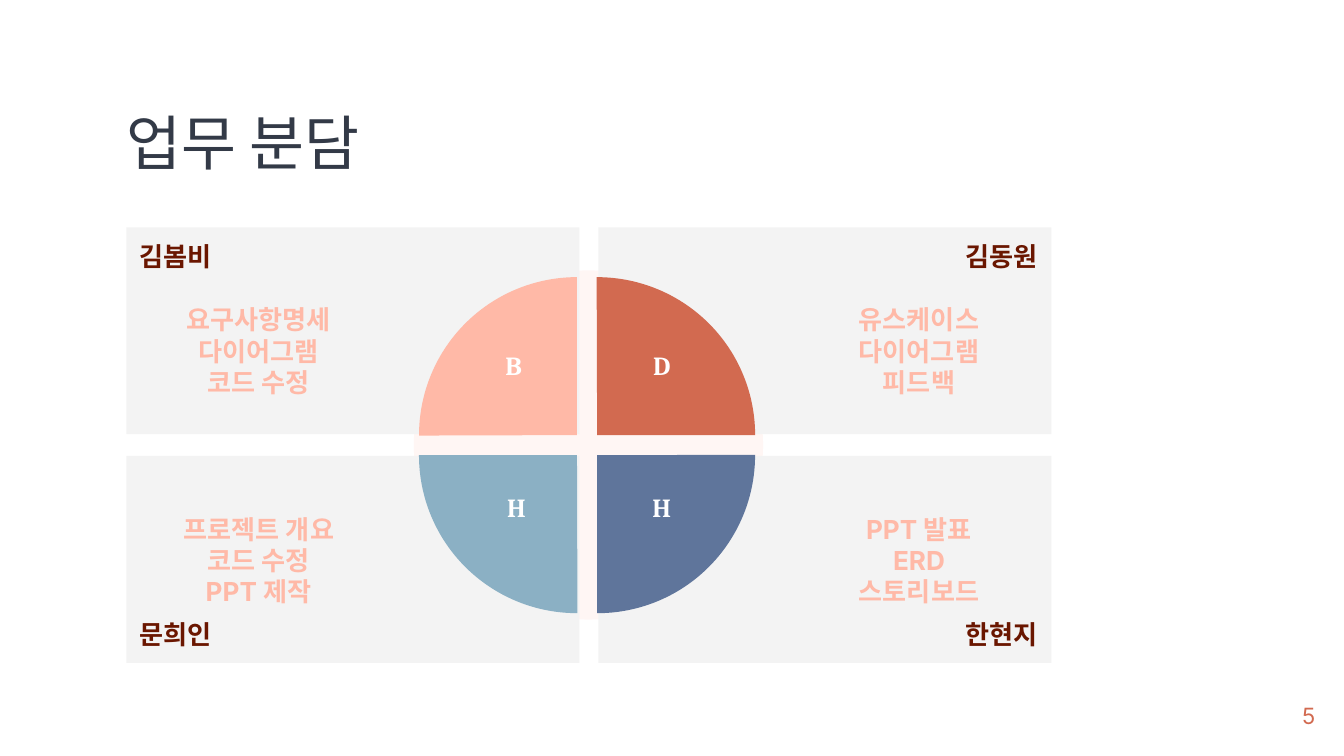
from lxml.etree import SubElement
from pptx import Presentation
from pptx.dml.color import RGBColor
from pptx.enum.shapes import MSO_SHAPE as Preset
from pptx.enum.text import MSO_ANCHOR as Anchor, PP_ALIGN as Align
from pptx.oxml.ns import qn
from pptx.util import Cm, Pt

INK, RUST, MAROON, PEACH = "333A47", "D26A50", "6A1600", "FFB9A7"
BLUE, NAVY, PANEL, HALO, WHITE = "8BB0C4", "5F759B", "F3F3F3", "FFF0ED", "FFFFFF"


def color(value):
    return RGBColor.from_string(value)


def write(para, text, *, size=14, font="Inter", ink=INK, bold=False,
          align=Align.LEFT, before=0, after=0, spacing=None):
    para.alignment = align
    para.space_before, para.space_after = Pt(before), Pt(after)
    if spacing:
        para.line_spacing = spacing
    span = para.add_run()
    span.text = text
    span.font.size, span.font.bold, span.font.name = Pt(size), bold, font
    span.font.color.rgb = color(ink)
    # Korean glyphs take the East Asian typeface
    SubElement(span.font._element, qn("a:ea"), typeface=font)


class Page:
    margin = 0.25
    wide_margin = 3.81

    def __init__(self, deck):
        self.shapes = deck.slides.add_slide(deck.slide_layouts[6]).shapes

    def shape(self, preset, left, top, width, height, fill,
              rotation=0, adjustments=(), opacity=None):
        shape = self.shapes.add_shape(preset, Cm(left), Cm(top), Cm(width), Cm(height))
        shape.shadow.inherit = False
        shape.rotation = rotation
        for index, value in enumerate(adjustments):
            shape.adjustments[index] = value
        shape.fill.solid()
        shape.fill.fore_color.rgb = color(fill)
        shape.line.fill.background()
        if opacity is not None:
            tone = shape._element.spPr.find(".//" + qn("a:srgbClr"))
            SubElement(tone, qn("a:alpha"), val=str(opacity * 1000))
        return shape

    def text(self, text, left, top, width, height,
             anchor=Anchor.TOP, inset=True, **style):
        box = self.shapes.add_textbox(Cm(left), Cm(top), Cm(width), Cm(height))
        frame = box.text_frame
        frame.word_wrap = True
        frame.vertical_anchor = anchor
        if not inset:
            frame.margin_left = frame.margin_right = 0
            frame.margin_top = frame.margin_bottom = 0
        write(frame.paragraphs[0], text, **style)

    def panel(self, name, tasks, left, top, on_right, at_bottom):
        """Panel with the name in its outer corner and the tasks beside the wheel."""
        frame = self.shape(Preset.RECTANGLE, left, top, 8.56, 3.91, PANEL).text_frame
        frame.word_wrap = True
        frame.vertical_anchor = Anchor.BOTTOM if at_bottom else Anchor.TOP
        frame.margin_top = frame.margin_bottom = Cm(self.margin)
        frame.margin_left = Cm(self.wide_margin if on_right else self.margin)
        frame.margin_right = Cm(self.margin if on_right else self.wide_margin)

        gap = 6 if at_bottom else 0
        heading = (name, dict(ink=MAROON, before=gap, after=gap,
                              align=Align.RIGHT if on_right else Align.LEFT))
        lines = [(task, dict(ink=PEACH, align=Align.CENTER)) for task in tasks]
        if at_bottom:
            lines.append(heading)
        else:
            lines[0][1]["before"] = 17
            lines.insert(0, heading)
        for index, (text, style) in enumerate(lines):
            para = frame.add_paragraph() if index else frame.paragraphs[0]
            write(para, text, bold=True, **style)


def main():
    deck = Presentation()
    deck.slide_width, deck.slide_height = Cm(25.4), Cm(14.29)
    page = Page(deck)

    page.shape(Preset.CHORD, 7.82, 5.11, 6.6, 6.6, HALO, rotation=180,
               adjustments=(2.96, 1.27), opacity=56)
    page.text("업무 분담", 2.39, 2.08, 5.26, 1.35, anchor=Anchor.MIDDLE, inset=False,
              size=32, font="Noto Sans CJK KR", spacing=0.9)
    page.text("5", 23.34, 12.98, 1.52, 1.09, anchor=Anchor.MIDDLE, inset=False,
              size=12, ink=RUST, align=Align.RIGHT)

    members = [
        ("김봄비", ["요구사항명세 다이어그램", "코드 수정"]),
        ("김동원", ["유스케이스", "다이어그램", "피드백"]),
        ("문희인", ["프로젝트 개요", "코드 수정", "PPT 제작"]),
        ("한현지", ["PPT 발표", "ERD", "스토리보드"]),
    ]
    for index, (name, tasks) in enumerate(members):
        row, column = divmod(index, 2)
        page.panel(name, tasks, 2.39 + column * 8.92, 4.3 + row * 4.32,
                   on_right=column == 1, at_bottom=row == 1)

    # Quarters run clockwise from the top left: fill, column, row
    quarters = [(PEACH, 0, 0), (RUST, 1, 0), (NAVY, 1, 1), (BLUE, 0, 1)]
    for turn, (fill, column, row) in enumerate(quarters):
        page.shape(Preset.PIE, 7.92 + column * 0.38, 5.24 + row * 0.38, 5.97, 5.97,
                   fill, rotation=turn * 90, adjustments=(107.89, 162))

    initials = [("B", 9.3, 6.48, 0.74), ("D", 11.76, 6.48, 1.5),
                ("H", 9.22, 9.17, 1.09), ("H", 12.04, 9.17, 0.94)]
    for letter, left, top, width in initials:
        page.text(letter, left, top, width, 1.1, font="Cambria", ink=WHITE,
                  bold=True, align=Align.CENTER)

    deck.save("out.pptx")


if __name__ == "__main__":
    main()
